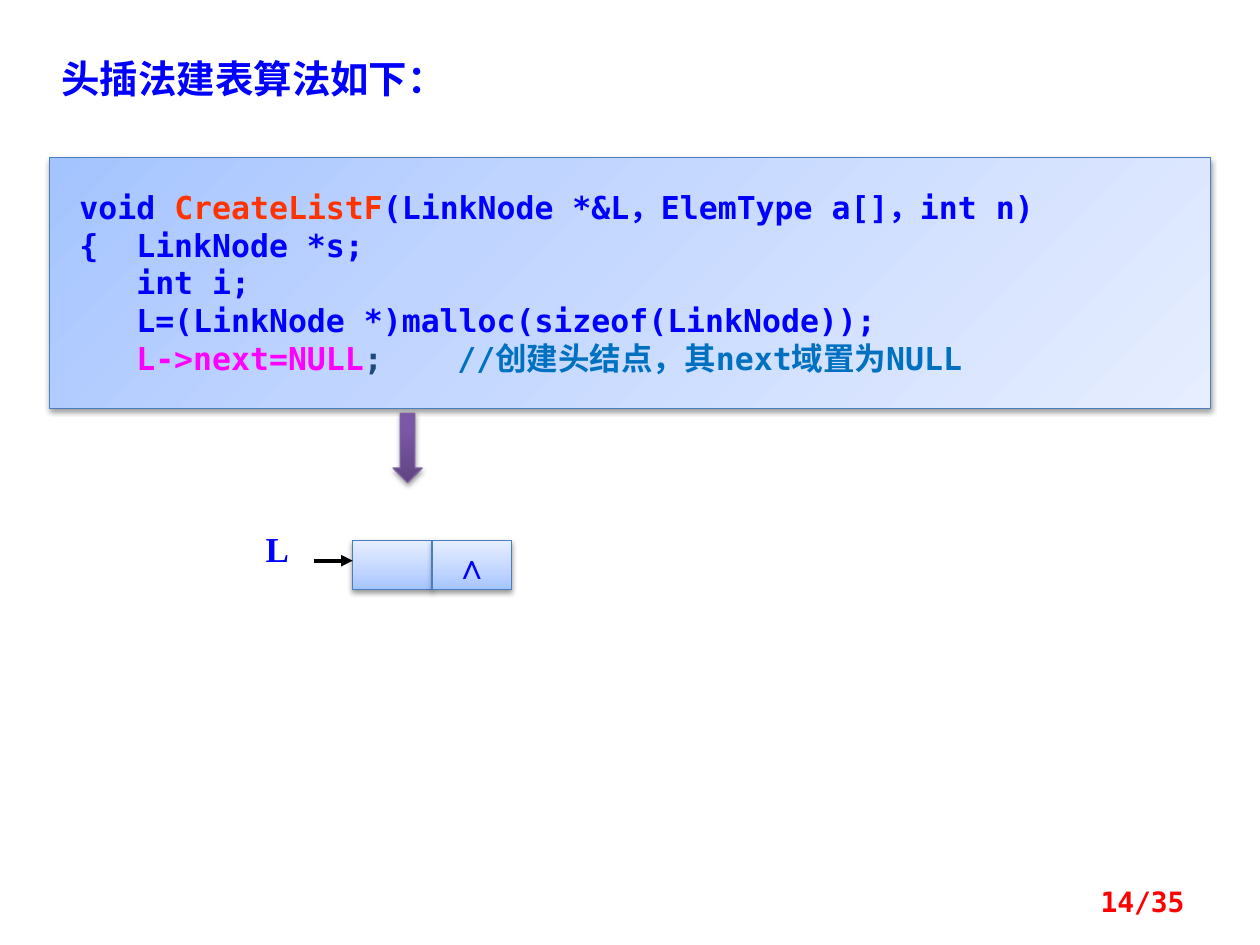
from lxml import etree
from pptx import Presentation
from pptx.dml.color import RGBColor
from pptx.enum.shapes import MSO_CONNECTOR, MSO_SHAPE
from pptx.enum.text import MSO_ANCHOR, PP_ALIGN
from pptx.oxml import parse_xml
from pptx.oxml.ns import qn
from pptx.util import Inches, Pt

RECTANGLE, DOWN_ARROW = MSO_SHAPE.RECTANGLE, MSO_SHAPE.DOWN_ARROW
STRAIGHT = MSO_CONNECTOR.STRAIGHT
TOP, MIDDLE = MSO_ANCHOR.TOP, MSO_ANCHOR.MIDDLE
LEFT, CENTER, RIGHT = PP_ALIGN.LEFT, PP_ALIGN.CENTER, PP_ALIGN.RIGHT

COLUMNS, ROWS = 100, 75
UNIT = Inches(0.1)
MONO, SANS, SERIF = "DejaVu Sans Mono", "Noto Sans CJK SC", "Times New Roman"
COLORS = {
    "code": "0000FF", "name": "FF3300", "plain": "1F497D", "key": "FF00FF",
    "comment": "0070C0", "page": "FF0000", "black": "000000",
    "panel_line": "4B7EBC", "arrow_line": "7D60A0",
}
PANEL_STOPS = ((0, "A4C4FF"), (35, "BFD4FF"), (100, "E6EEFF"))
ARROW_STOPS = ((0, "5F4480"), (80, "7B58A6"), (100, "7C57A8"))
UPWARD = '<a:lin ang="16200000" scaled="0"/>'
FROM_CORNER = '<a:path path="circle"><a:fillToRect r="100000" b="100000"/></a:path>'
NAMESPACE = 'xmlns:a="http://schemas.openxmlformats.org/drawingml/2006/main"'

CODE_LINES = (
    (("void ", "code"), ("CreateListF", "name"),
     ("(LinkNode *&L，ElemType a[]，int n)", "code")),
    (("{  LinkNode *s;", "code"),),
    (("   int i;", "code"),),
    (("   L=(LinkNode *)malloc(sizeof(LinkNode));", "code"),),
    (("   ", "plain"), ("L->next=NULL", "key"), (";\t\t", "plain"),
     ("//创建头结点，其next域置为NULL", "comment")),
)


def grid(*counts):
    """Turn counts of columns and rows into lengths."""
    return [round(count * UNIT) for count in counts]


def color(name):
    """Look up a named colour."""
    return RGBColor.from_string(COLORS[name])


def add_shaded_shape(page, kind, area, stops, direction, line):
    """Add an outlined shape with a gradient and a soft shadow below it."""
    shape = page.shapes.add_shape(kind, *grid(*area))
    shape.line.color.rgb = color(line)
    shape.line.width = Pt(0.75)
    shape.shadow.inherit = False
    stop_list = "".join(
        f'<a:gs pos="{share * 1000}"><a:srgbClr val="{value}"/></a:gs>'
        for share, value in stops)
    properties = shape._element.spPr
    properties.find(qn("a:prstGeom")).addnext(parse_xml(
        f'<a:gradFill {NAMESPACE} rotWithShape="1">'
        f'<a:gsLst>{stop_list}</a:gsLst>{direction}</a:gradFill>'))
    properties.find(qn("a:effectLst")).append(parse_xml(
        f'<a:outerShdw {NAMESPACE} blurRad="{Pt(3.1)}" dist="{Pt(1.6)}" dir="5400000" '
        f'rotWithShape="0"><a:srgbClr val="{COLORS["black"]}">'
        '<a:alpha val="38000"/></a:srgbClr></a:outerShdw>'))
    return shape


def style_span(span, font, size, tone):
    """Format one run, for Latin and East Asian letters alike."""
    span.font.name = font
    span.font.size = Pt(size)
    span.font.bold = True
    span.font.color.rgb = color(tone)
    east_asian = etree.Element(qn("a:ea"), typeface=font)
    span.font._element.find(qn("a:latin")).addnext(east_asian)


def write_text(box, text, font, size, tone, align=LEFT, anchor=TOP, wrap=True):
    """Write a single formatted line into a box."""
    frame = box.text_frame
    frame.word_wrap = wrap
    frame.vertical_anchor = anchor
    frame.text = text
    para = frame.paragraphs[0]
    para.alignment = align
    style_span(para.runs[0], font, size, tone)


def add_label(page, area, *text, **layout):
    """Add a text box holding one line."""
    write_text(page.shapes.add_textbox(*grid(*area)), *text, **layout)


def add_code_panel(page, area):
    """Add the shaded panel with the coloured code lines."""
    panel = add_shaded_shape(page, RECTANGLE, area, PANEL_STOPS, FROM_CORNER, "panel_line")
    frame = panel.text_frame
    frame.word_wrap = True
    frame.vertical_anchor = TOP
    frame.margin_left, frame.margin_top, frame.margin_right, frame.margin_bottom = grid(
        2.4, 2.4, 1.6, 2.4)
    for index, line in enumerate(CODE_LINES):
        para = frame.add_paragraph() if index else frame.paragraphs[0]
        para.alignment = LEFT
        for text, tone in line:
            span = para.add_run()
            span.text = text
            style_span(span, MONO, 18, tone)


def add_pointer(page, start, end):
    """Add a straight line with an arrowhead at its end."""
    pointer = page.shapes.add_connector(STRAIGHT, *grid(*start, *end))
    pointer.line.color.rgb = color("black")
    pointer.line.width = Pt(2.25)
    etree.SubElement(pointer.line._get_or_add_ln(), qn("a:tailEnd"), type="triangle")
    etree.SubElement(pointer._element.spPr, qn("a:effectLst"))


def add_head_node(page, left, top, width, height):
    """Add the two-cell head node with its pointer and name."""
    cells = [
        add_shaded_shape(page, RECTANGLE, (left + index * width, top, width, height),
                         PANEL_STOPS, UPWARD, "panel_line")
        for index in range(2)]
    write_text(cells[1], "∧", SERIF, 20, "code", align=CENTER, anchor=MIDDLE, wrap=False)
    add_pointer(page, (left - 3.1, top + 1.6), (left, top + 1.6))
    add_label(page, (left - 7.9, top - 1.5, 5.5, 4.3), "L", SERIF, 20, "code")


def main():
    """Build the slide and save the deck."""
    deck = Presentation()
    deck.slide_width, deck.slide_height = grid(COLUMNS, ROWS)
    page = deck.slides.add_slide(deck.slide_layouts[6])
    add_code_panel(page, (3.9, 12.5, 92.2, 19.9))
    add_label(page, (3.9, 3.9, 56.3, 4.7), "头插法建表算法如下：", SANS, 22, "code")
    add_head_node(page, 28, 42.9, 6.3, 3.9)
    add_shaded_shape(page, DOWN_ARROW, (31.2, 32.8, 2.3, 5.5), ARROW_STOPS, UPWARD, "arrow_line")
    add_label(page, (71.7, 69.5, 23.3, 4), "14/35", MONO, 16, "page", align=RIGHT, anchor=MIDDLE)
    deck.save("out.pptx")


if __name__ == "__main__":
    main()
